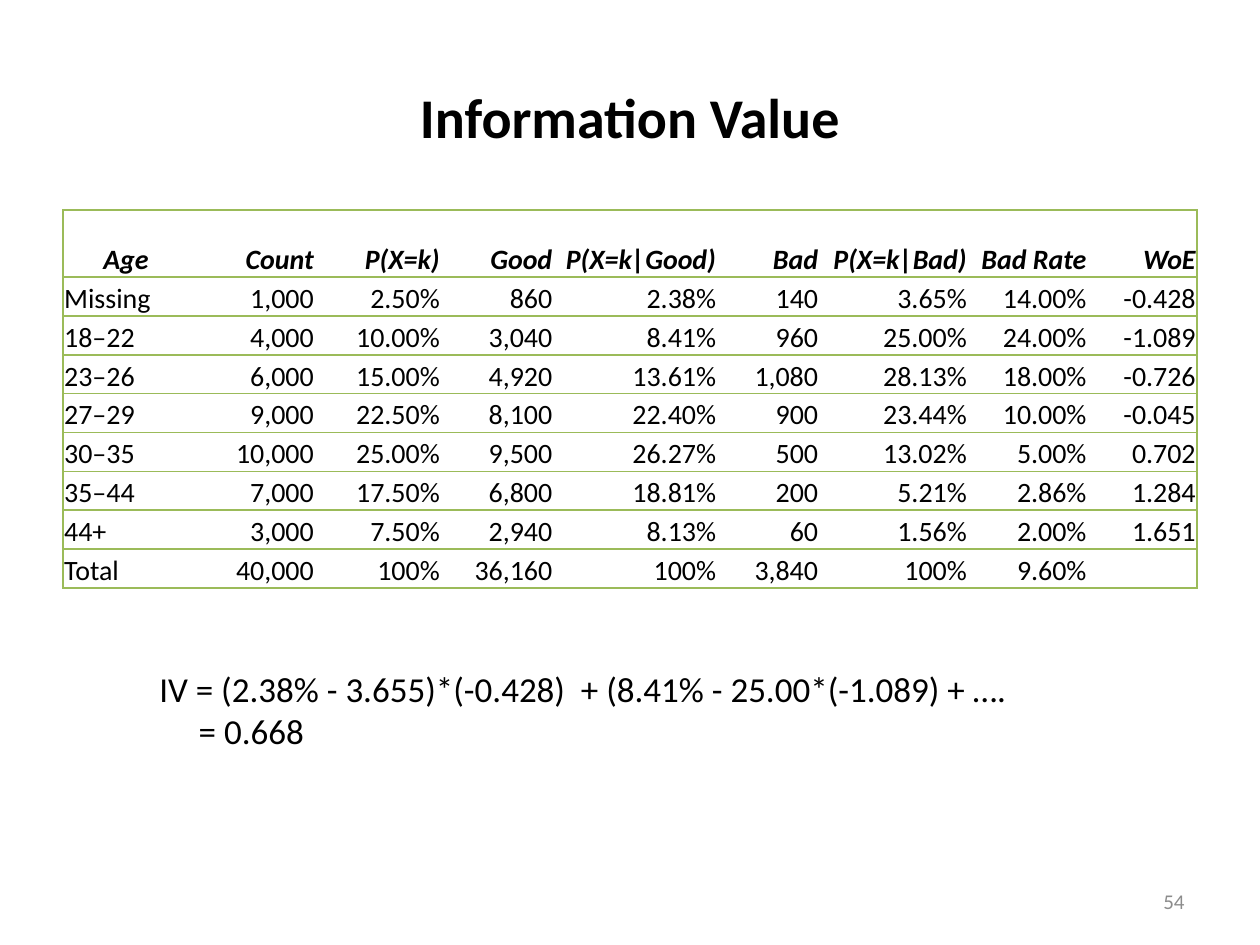
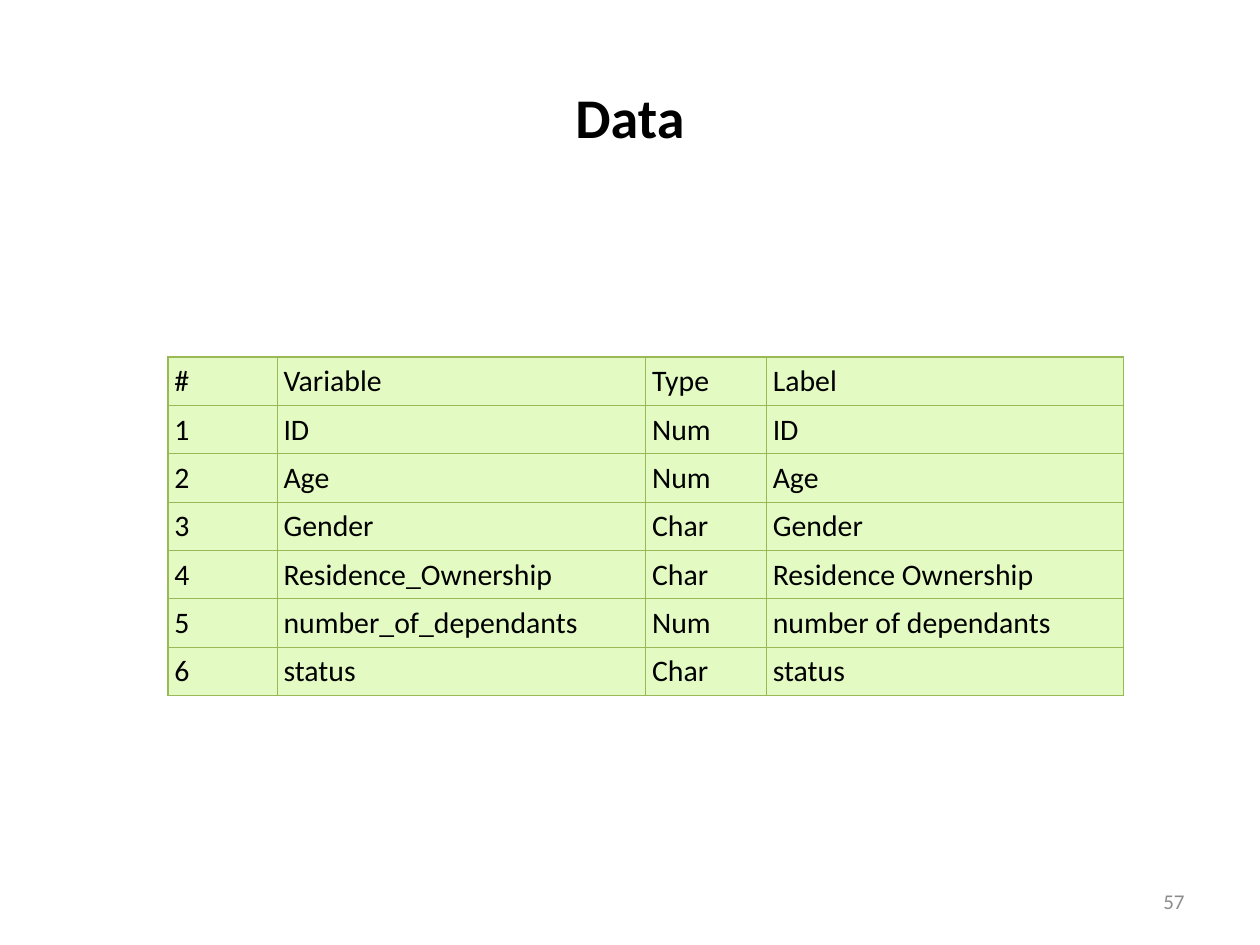
"""Build two slides: an information value table and a data dictionary."""
from lxml.etree import SubElement
from pptx import Presentation
from pptx.dml.color import RGBColor
from pptx.enum.text import MSO_ANCHOR, PP_ALIGN
from pptx.oxml.ns import qn
from pptx.util import Pt

BLACK = RGBColor(0x00, 0x00, 0x00)
WHITE = RGBColor(0xFF, 0xFF, 0xFF)
GRAY = RGBColor(0x8C, 0x8C, 0x8C)
GREEN = RGBColor(0x9B, 0xBB, 0x59)
GRID_GREEN = RGBColor(0x98, 0xB9, 0x55)
PALE_GREEN = RGBColor(0xE3, 0xFB, 0xC2)
FONT = "Calibri"
NO_STYLE = "{2D5ABB26-0587-4C30-8999-92F81FD0307C}"
TITLE_BOX = (36, 21.6, 648, 90)
NUMBER_BOX = (516, 500.5, 168, 28.75)

AGE_ROWS = [
    ("Age", "Count", "P(X=k)", "Good", "P(X=k|Good)", "Bad", "P(X=k|Bad)", "Bad Rate", "WoE"),
    ("Missing", "1,000", "2.50%", "860", "2.38%", "140", "3.65%", "14.00%", "-0.428"),
    ("18–22", "4,000", "10.00%", "3,040", "8.41%", "960", "25.00%", "24.00%", "-1.089"),
    ("23–26", "6,000", "15.00%", "4,920", "13.61%", "1,080", "28.13%", "18.00%", "-0.726"),
    ("27–29", "9,000", "22.50%", "8,100", "22.40%", "900", "23.44%", "10.00%", "-0.045"),
    ("30–35", "10,000", "25.00%", "9,500", "26.27%", "500", "13.02%", "5.00%", "0.702"),
    ("35–44", "7,000", "17.50%", "6,800", "18.81%", "200", "5.21%", "2.86%", "1.284"),
    ("44+", "3,000", "7.50%", "2,940", "8.13%", "60", "1.56%", "2.00%", "1.651"),
    ("Total", "40,000", "100%", "36,160", "100%", "3,840", "100%", "9.60%", ""),
]
AGE_WIDTHS = (72, 72, 72, 64.3, 93.6, 58.3, 85, 68.4, 62.4)
AGE_HEIGHTS = [38.4] + [22.2] * (len(AGE_ROWS) - 1)

FORMULA = [
    ("IV = (2.38% - 3.655)*(-0.428)  + (8.41% - 25.00*(-1.089) + ….", 0),
    ("= 0.668", 22.5),
]

VARIABLE_ROWS = [
    ("#", "Variable", "Type", "Label"),
    ("1", "ID", "Num", "ID"),
    ("2", "Age", "Num", "Age"),
    ("3", "Gender", "Char", "Gender"),
    ("4", "Residence_Ownership", "Char", "Residence Ownership"),
    ("5", "number_of_dependants", "Num", "number of dependants"),
    ("6", "status", "Char", "status"),
]
VARIABLE_WIDTHS = (62.4, 210.6, 69, 204)
VARIABLE_HEIGHTS = [27.4] * len(VARIABLE_ROWS)


def write(p, text, size=16, color=BLACK, bold=False, italic=False,
          align=PP_ALIGN.LEFT, indent=0):
    p.alignment = align
    if indent:
        p._p.get_or_add_pPr().set("marL", str(Pt(indent)))
    r = p.add_run()
    r.text = text
    f = r.font
    f.name, f.size, f.bold, f.italic = FONT, Pt(size), bold, italic
    f.color.rgb = color


def add_slide(title, number):
    s = prs.slides.add_slide(prs.slide_layouts[5])
    sp = s.shapes.title
    sp.left, sp.top, sp.width, sp.height = map(Pt, TITLE_BOX)
    sp.text_frame.vertical_anchor = MSO_ANCHOR.MIDDLE
    write(sp.text_frame.paragraphs[0], title, size=32, bold=True, align=PP_ALIGN.CENTER)
    tf = add_box(s, *NUMBER_BOX)
    tf.vertical_anchor = MSO_ANCHOR.MIDDLE
    write(tf.paragraphs[0], number, size=12, color=GRAY, align=PP_ALIGN.RIGHT)
    return s


def add_box(s, *box):
    tf = s.shapes.add_textbox(*map(Pt, box)).text_frame
    tf.word_wrap = True
    return tf


def add_grid(s, left, top, widths, heights):
    frame = s.shapes.add_table(len(heights), len(widths), Pt(left), Pt(top),
                               Pt(sum(widths)), Pt(sum(heights)))
    table = frame.table
    table.first_row = table.horz_banding = False
    table._tbl.tblPr.find(qn("a:tableStyleId")).text = NO_STYLE
    for col, width in zip(table.columns, widths):
        col.width = Pt(width)
    for row, height in zip(table.rows, heights):
        row.height = Pt(height)
    return table


def style_cell(cell, fill, line, weight, sides, margins, anchor):
    cell.margin_left, cell.margin_top, cell.margin_right, cell.margin_bottom = map(Pt, margins)
    cell.vertical_anchor = anchor
    tcPr = cell._tc.get_or_add_tcPr()
    for side in "LRTB":
        visible = side in sides
        ln = SubElement(tcPr, qn("a:ln" + side), w=str(Pt(weight if visible else 0)))
        if visible:
            SubElement(SubElement(ln, qn("a:solidFill")), qn("a:srgbClr"), val=str(line))
        else:
            SubElement(ln, qn("a:noFill"))
    cell.fill.solid()
    cell.fill.fore_color.rgb = fill


def add_age_table(s):
    table = add_grid(s, 36, 120, AGE_WIDTHS, AGE_HEIGHTS)
    last = len(AGE_WIDTHS) - 1
    for i, row in enumerate(AGE_ROWS):
        head = i == 0
        for j, text in enumerate(row):
            cell = table.cell(i, j)
            sides = "TB" + ("L" if j == 0 else "R" if j == last else "")
            style_cell(cell, WHITE, GREEN, 1, sides, (0.72, 0.72, 0.72, 0), MSO_ANCHOR.BOTTOM)
            first = PP_ALIGN.CENTER if head else PP_ALIGN.LEFT
            write(cell.text_frame.paragraphs[0], text, bold=head, italic=head,
                  align=PP_ALIGN.RIGHT if j else first)


def add_variable_table(s):
    table = add_grid(s, 96, 204, VARIABLE_WIDTHS, VARIABLE_HEIGHTS)
    for i, row in enumerate(VARIABLE_ROWS):
        for j, text in enumerate(row):
            cell = table.cell(i, j)
            style_cell(cell, PALE_GREEN, GRID_GREEN, 0.75, "LRTB", (3.6,) * 4, MSO_ANCHOR.TOP)
            write(cell.text_frame.paragraphs[0], text, size=17)


prs = Presentation()
prs.slide_width, prs.slide_height = Pt(720), Pt(540)

s = add_slide("Information Value", "54")
add_age_table(s)
tf = add_box(s, 84, 378, 576, 55.75)
for i, (text, indent) in enumerate(FORMULA):
    write(tf.add_paragraph() if i else tf.paragraphs[0], text, size=20, indent=indent)

s = add_slide("Data", "57")
add_variable_table(s)

prs.save("out.pptx")
